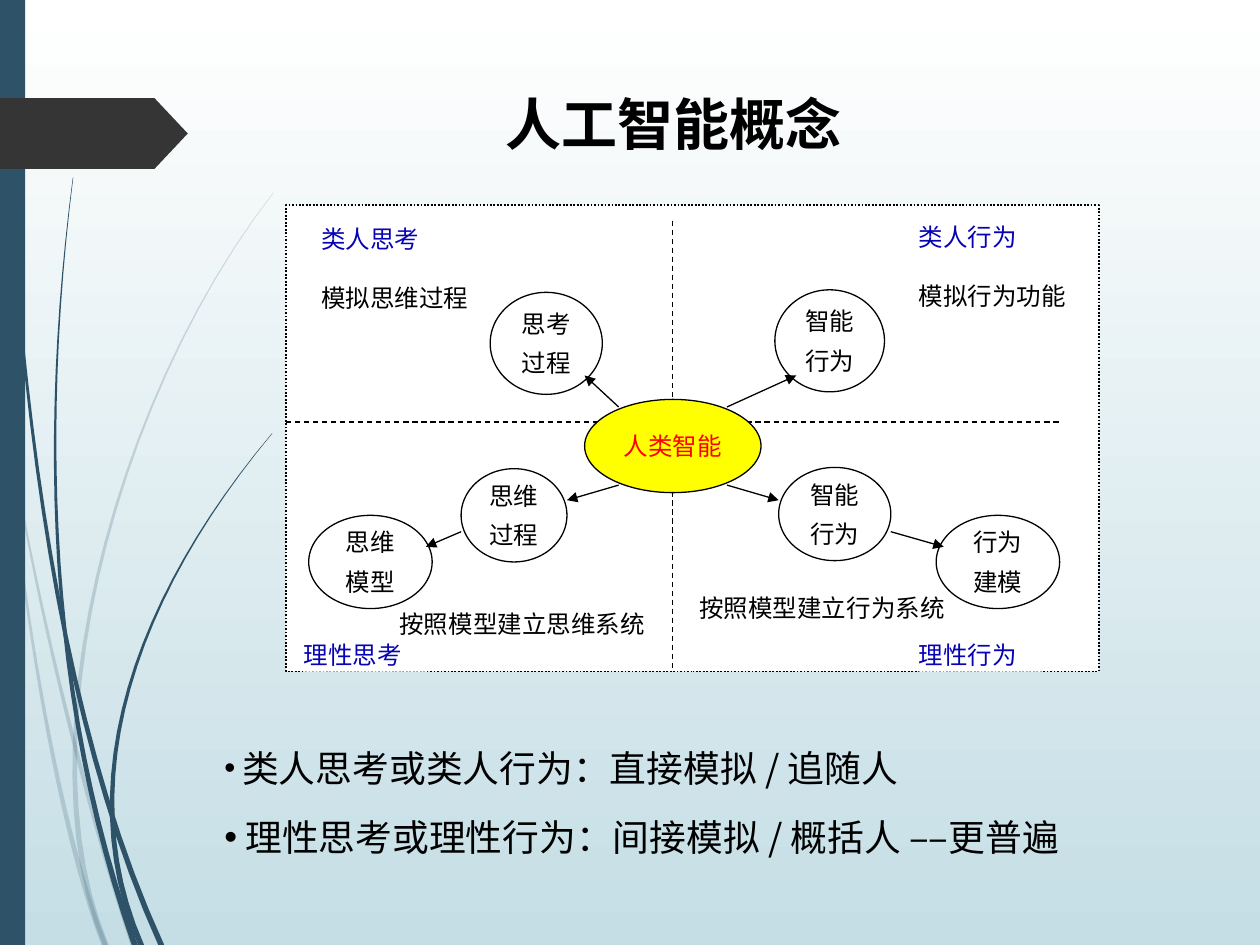
"""Build the slide on the concept of artificial intelligence."""
from lxml import etree
from pptx import Presentation
from pptx.dml.color import RGBColor
from pptx.enum.dml import MSO_LINE
from pptx.enum.shapes import MSO_CONNECTOR, MSO_SHAPE
from pptx.enum.text import MSO_ANCHOR, PP_ALIGN
from pptx.oxml.ns import qn
from pptx.util import Inches, Pt

RECT, OVAL, FLAG = MSO_SHAPE.RECTANGLE, MSO_SHAPE.OVAL, MSO_SHAPE.PENTAGON
LINE = MSO_CONNECTOR.STRAIGHT
DOT, DASH = MSO_LINE.ROUND_DOT, MSO_LINE.DASH
TOP, MID = MSO_ANCHOR.TOP, MSO_ANCHOR.MIDDLE
LEFT, MIDDLE, JUST = PP_ALIGN.LEFT, PP_ALIGN.CENTER, PP_ALIGN.JUSTIFY
SANS, MONO, SERIF = "Noto Sans CJK SC", "Noto Sans Mono", "Times New Roman"
COLORS = {"white": "FFFFFF", "sky": "C5DEE5", "teal": "2E5369", "dark": "353535",
          "black": "000000", "blue": "0703B5", "yellow": "FFFF00", "red": "FF0000"}
HUES = {name: RGBColor.from_string(code) for name, code in COLORS.items()}


def paint(shape, fill, edge=None, width=0.75):
    shape.shadow.inherit = False
    shape.fill.solid()
    shape.fill.fore_color.rgb = HUES[fill]
    if edge:
        shape.line.color.rgb = HUES[edge]
        shape.line.width = Pt(width)
    else:
        shape.line.fill.background()


def add_run(para, text, size, hue="black", font=SANS, bold=False):
    run = para.add_run()
    run.text = text
    run.font.size, run.font.bold = Pt(size), bold
    run.font.color.rgb = HUES[hue]
    run.font.name = font
    etree.SubElement(run.font._element, qn("a:ea"), typeface=SANS)


deck = Presentation()
deck.slide_width, deck.slide_height = Inches(10), Inches(7.5)
slide = deck.slides.add_slide(deck.slide_layouts[1])
shapes = slide.shapes

back = slide.background.fill
back.gradient()
back.gradient_angle = 270
for stop, place, hue in zip(back.gradient_stops, (0, 1), ("white", "sky")):
    stop.position = place
    stop.color.rgb = HUES[hue]

STEPS = 24
BLADES = [
    ("pale", (0, 2.9), (0.16, 4.27), (0.63, 6.24), (1.06, 7.5)),
    ("pale", (0.08, 3.5), (0.12, 4.38), (0.42, 6.47), (0.83, 7.5)),
    ("pale", (2.17, 1.53), (0.86, 3.22), (0.2, 5.98), (0.84, 7.5)),
    ("deep", (0.02, 0), (0.08, 2.13), (0.28, 5.3), (1.28, 7.5)),
    ("deep", (0.58, 1.41), (0.32, 3.43), (0.38, 5.55), (1.07, 7.5)),
    ("deep", (2.16, 3.44), (1.09, 4.72), (0.55, 6.19), (1.12, 7.5)),
]
for tone, tip, bend, sway, root in BLADES:
    left, right = [], []
    for step in range(STEPS + 1):
        t = step / STEPS
        x, y = (a * (1 - t) ** 3 + 3 * b * t * (1 - t) ** 2 + 3 * c * t ** 2 * (1 - t)
                + d * t ** 3 for a, b, c, d in zip(tip, bend, sway, root))
        half = 0.002 + 0.022 * t
        left.append((Inches(x - half), Inches(y)))
        right.append((Inches(x + half), Inches(y)))
    form = shapes.build_freeform(*left[0])
    form.add_line_segments(left[1:] + right[::-1])
    blade = form.convert_to_shape()
    paint(blade, "teal")
    if tone == "pale":
        tint = blade.element.spPr.find(qn("a:solidFill"))[0]
        etree.SubElement(tint, qn("a:alpha"), val="20000")

bar = shapes.add_shape(RECT, 0, 0, Inches(0.2), Inches(7.5))
paint(bar, "teal")
flag = shapes.add_shape(FLAG, 0, Inches(0.78), Inches(1.49), Inches(0.56))
flag.adjustments[0] = 0.47
paint(flag, "dark")

title = shapes.title
title.left, title.top, title.width, title.height = map(Inches, (1.74, 0.66, 7.21, 1.4))
title.text_frame.vertical_anchor = TOP
head = title.text_frame.paragraphs[0]
head.alignment = MIDDLE
add_run(head, "人工智能概念", 32, font=MONO, bold=True)

panel = shapes.add_shape(RECT, *map(Inches, (2.27, 1.63, 6.45, 3.7)))
paint(panel, "white", "black", 1)
panel.line.dash_style = DOT

AXIS, LEVEL = 5.34, 3.54
AXES = [(AXIS, 1.75, AXIS, 5.33), (2.27, 3.35, 8.41, 3.35)]
RAYS = [(-1, -1, 4.64, 2.98), (1, -1, 6.32, 2.98), (-1, 1, 4.5, 3.97), (1, 1, 6.18, 3.97)]
ARROWS = [(AXIS + 0.43 * side, LEVEL + 0.31 * way, x, y) for side, way, x, y in RAYS]
ARROWS += [(3.66, 4.22, 3.38, 4.34), (7.07, 4.22, 7.49, 4.34)]

for ends in AXES:
    axis = shapes.add_connector(LINE, *map(Inches, ends))
    axis.line.color.rgb = HUES["black"]
    axis.line.width = Pt(0.75)
    axis.line.dash_style = DASH
    etree.SubElement(axis.element.spPr, qn("a:effectLst"))

IDEAS = [
    (3.89, 2.32, 0.89, 0.81, "思考", "过程"),
    (6.15, 2.3, 0.87, 0.81, "智能", "行为"),
    (3.66, 3.72, 0.84, 0.74, "思维", "过程"),
    (2.45, 4.09, 0.98, 0.74, "思维", "模型"),
    (6.18, 3.71, 0.89, 0.74, "智能", "行为"),
    (7.43, 4.09, 0.98, 0.74, "行为", "建模"),
]
NAMES = [
    (2.55, 1.78, 1.26, 0.74, "类人思考", "模拟思维过程"),
    (7.29, 1.76, 1.28, 0.74, "类人行为", "模拟行为功能"),
    (2.41, 5.08, 0.98, 0.25, "理性思考"),
    (7.29, 5.08, 0.98, 0.25, "理性行为"),
]
GOALS = [
    (3.17, 4.83, 1.95, 0.25, "按照模型建立思维系统"),
    (5.55, 4.71, 1.95, 0.25, "按照模型建立行为系统"),
]
CORE = [(4.64, 3.17, 1.4, 0.74, "人类智能")]
GROUPS = [
    (NAMES, RECT, "white", None, "blue", JUST, TOP, 17),
    (GOALS, RECT, "white", None, "black", JUST, TOP, 0),
    (IDEAS, OVAL, "white", "black", "black", MIDDLE, MID, 5.8),
    (CORE, OVAL, "yellow", "black", "red", MIDDLE, MID, 0),
]
for group, kind, fill, edge, ink, align, anchor, gap in GROUPS:
    for x, y, wide, high, *rows in group:
        node = shapes.add_shape(kind, *map(Inches, (x, y, wide, high)))
        paint(node, fill, edge)
        frame = node.text_frame
        frame.word_wrap = True
        frame.vertical_anchor = anchor
        frame.margin_left = frame.margin_top = frame.margin_right = frame.margin_bottom = 0
        for i, text in enumerate(rows):
            para = frame.add_paragraph() if i else frame.paragraphs[0]
            para.alignment = align
            if i:
                para.space_before = Pt(gap)
            add_run(para, text, 14, "black" if i else ink)

for ends in ARROWS:
    arrow = shapes.add_connector(LINE, *map(Inches, ends))
    arrow.line.color.rgb = HUES["black"]
    arrow.line.width = Pt(0.75)
    props = arrow.element.spPr
    etree.SubElement(props.find(qn("a:ln")), qn("a:tailEnd"), type="triangle")
    etree.SubElement(props, qn("a:effectLst"))

ITEMS = [
    [(" ", 18, SANS), ("类人思考或类人行为：直接模拟 / 追随人", 21, SANS)],
    [(" 理性思考或理性行为：间接模拟 / 概括人 ", 21, SANS), ("––", 21, SERIF),
     ("更普遍", 21, SANS)],
]
body = slide.placeholders[1]
body.left, body.top, body.width, body.height = map(Inches, (1.68, 5.69, 7.66, 1.13))
for i, runs in enumerate(ITEMS):
    para = body.text_frame.add_paragraph() if i else body.text_frame.paragraphs[0]
    para.alignment = LEFT
    para.line_spacing = 1.5
    para.space_before = Pt(2 * i)
    props = para._p.get_or_add_pPr()
    props.set("marL", "0")
    props.set("indent", "0")
    etree.SubElement(props, qn("a:buChar"), char="•")
    for text, size, font in runs:
        add_run(para, text, size, font=font)

deck.save("out.pptx")
